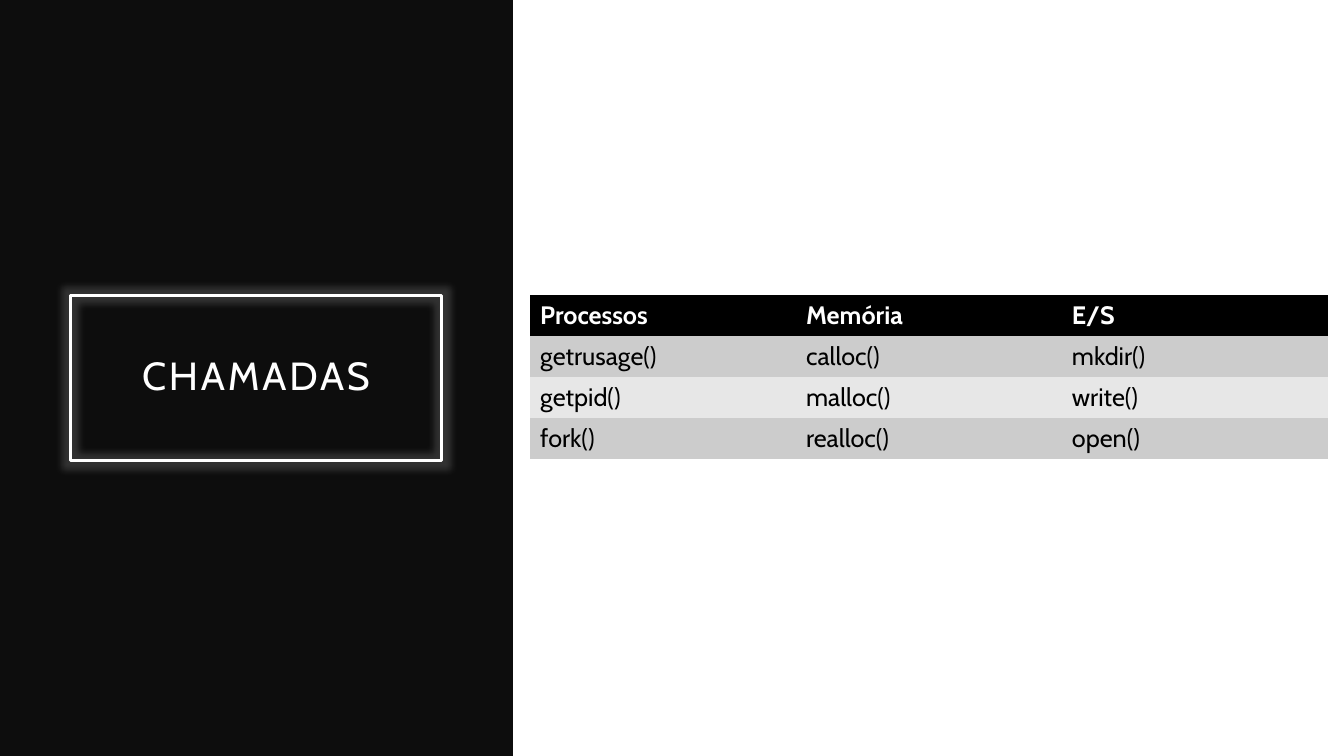
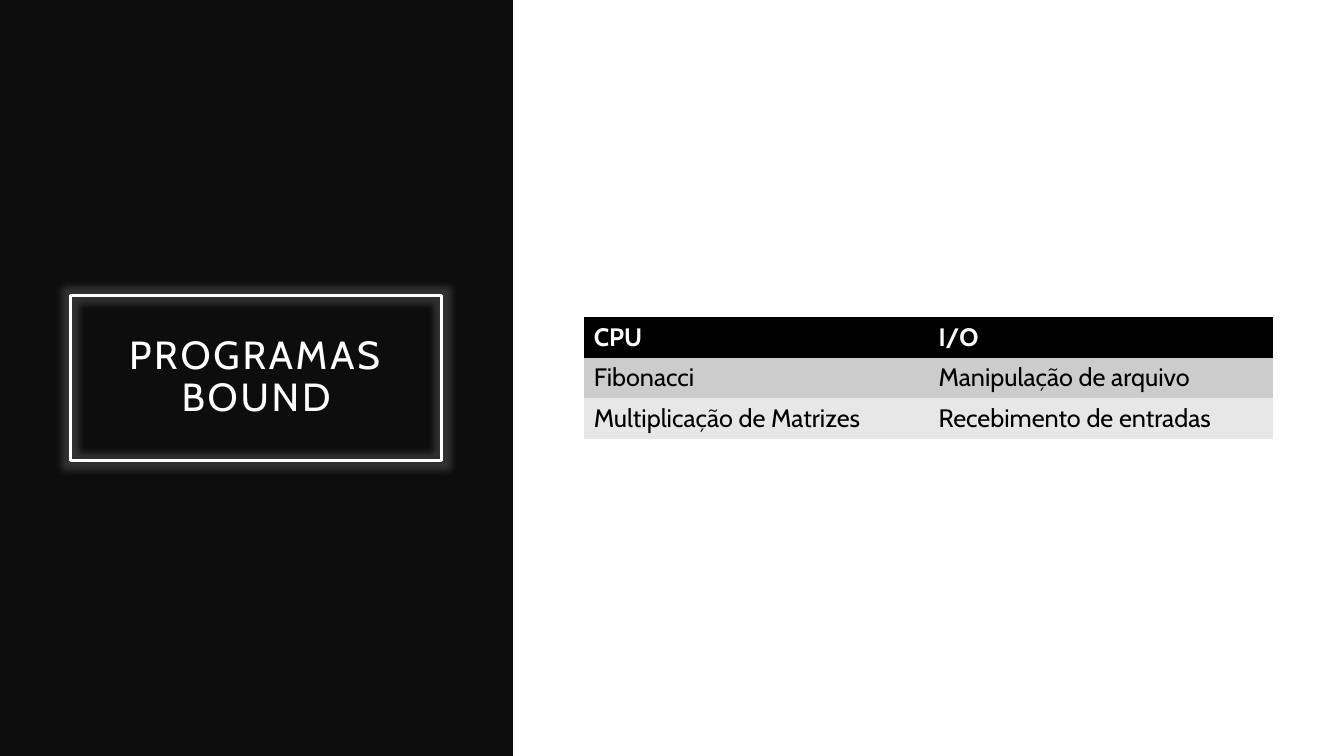
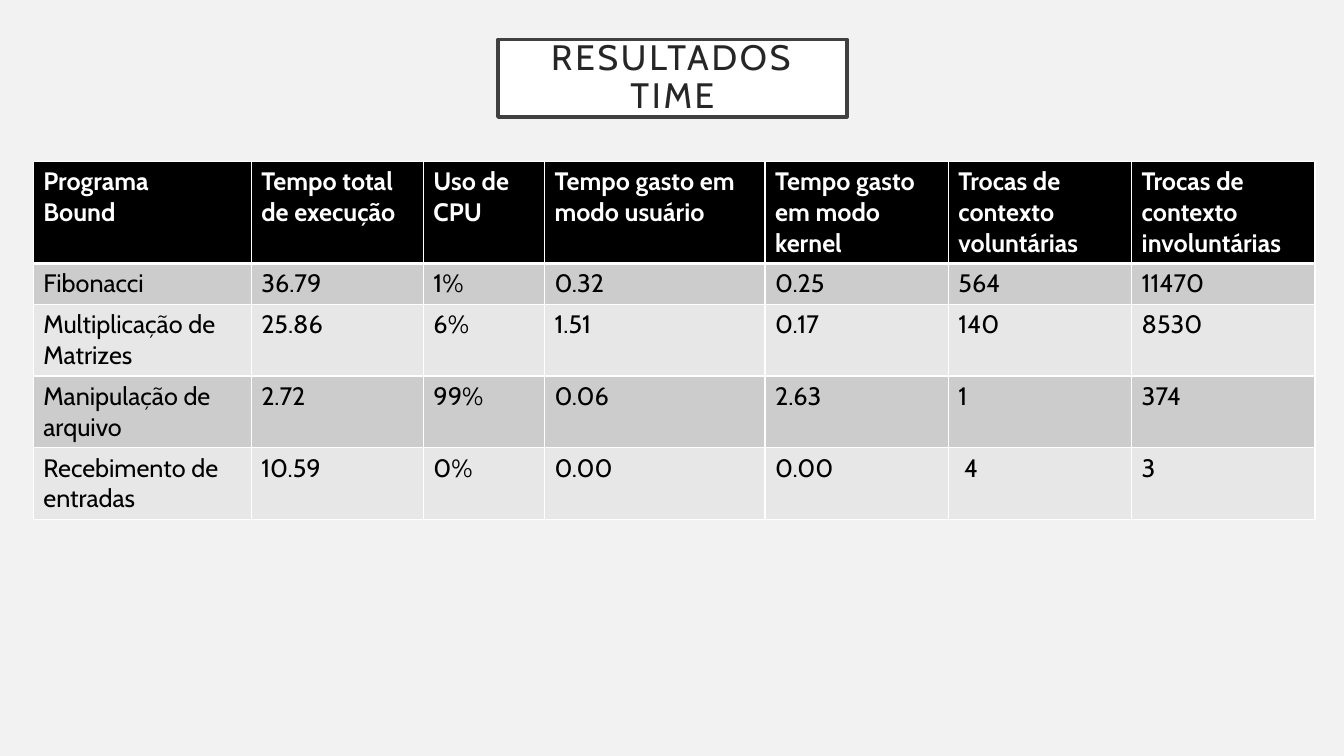
from lxml import etree
from pptx import Presentation
from pptx.dml.color import RGBColor
from pptx.enum.shapes import MSO_SHAPE as Shape
from pptx.enum.text import MSO_ANCHOR as Anchor, MSO_AUTO_SIZE as Fit, PP_ALIGN as Align
from pptx.oxml import parse_xml
from pptx.oxml.ns import nsdecls, qn
from pptx.util import Cm, Pt

PLAIN = "{2D5ABB26-0587-4C30-8999-92F81FD0307C}"
BLACK, WHITE = "000000", "FFFFFF"
BANDS = ["CCCCCC", "E7E7E7"]
SIDE = (1.78, 7.44, 9.35, 4.17)

SLIDES = [
    dict(title="CHAMADAS", dark=True, box=SIDE, size=28, at=(13.36, 7.44), cols=[6.7] * 3, rows=[
        ["Processos", "Memória", "E/S"],
        ["getrusage()", "calloc()", "mkdir()"],
        ["getpid()", "malloc()", "write()"],
        ["fork()", "realloc()", "open()"],
    ]),
    dict(title="PROGRAMAS BOUND", dark=True, box=SIDE, size=28, at=(14.71, 7.98), cols=[8.69] * 2, rows=[
        ["CPU", "I/O"],
        ["Fibonacci", "Manipulação de arquivo"],
        ["Multiplicação de Matrizes", "Recebimento de entradas"],
    ]),
    dict(title="RESULTADOS TIME", dark=False, box=(12.55, 0.99, 8.79, 1.96), size=25.2, at=(0.84, 4.06),
         cols=[5.49, 4.34, 3.05, 5.56] + [4.62] * 3, rows=[
        ["Programa\nBound", "Tempo total de execução", "Uso de CPU", "Tempo gasto em modo usuário",
         "Tempo gasto em modo kernel", "Trocas de contexto voluntárias", "Trocas de contexto involuntárias"],
        ["Fibonacci", "36.79", "1%", "0.32", "0.25", "564", "11470"],
        ["Multiplicação de Matrizes", "25.86", "6%", "1.51", "0.17", "140", "8530"],
        ["Manipulação de arquivo", "2.72", "99%", "0.06", "2.63", "1", "374"],
        ["Recebimento de entradas", "10.59", "0%", "0.00", "0.00", " 4", "3"],
    ]),
]


def paint(fill, color):
    fill.solid()
    fill.fore_color.rgb = RGBColor.from_string(color)


def write(frame, text, size=18, color=BLACK, bold=False, align=Align.LEFT, lead=1.0, gap=0):
    frame.text = text
    for para in frame.paragraphs:
        para.alignment = align
        para.line_spacing = lead
        for run in para.runs:
            font = run.font
            font.name, font.size, font.bold = "Cabin", Pt(size), bold
            paint(font.fill, color)
            if gap:
                run._r.get_or_add_rPr().set("spc", str(gap * 100))


prs = Presentation()
prs.slide_width, prs.slide_height = Cm(33.87), Cm(19.05)

for data in SLIDES:
    dark, rows, cols = data["dark"], data["rows"], data["cols"]
    slide = prs.slides.add_slide(prs.slide_layouts[5])
    paint(slide.background.fill, WHITE if dark else "F2F2F2")

    title = slide.shapes.title
    title.left, title.top, title.width, title.height = [Cm(n) for n in data["box"]]
    frame = title.text_frame
    frame.word_wrap, frame.auto_size = True, Fit.NONE
    frame.vertical_anchor = Anchor.MIDDLE
    frame.margin_left = frame.margin_right = frame.margin_top = frame.margin_bottom = Cm(0.51)
    write(frame, data["title"], size=data["size"], color=WHITE if dark else "262626",
          align=Align.CENTER, lead=0.9, gap=2)
    if dark:
        title.fill.background()
    else:
        paint(title.fill, WHITE)
    paint(title.line.fill, WHITE if dark else "404040")
    title.line.width = Pt(2.5)

    if dark:
        title.element.spPr.append(parse_xml(
            f'<a:effectLst {nsdecls("a")}><a:glow rad="{Cm(0.35)}"><a:srgbClr val="{WHITE}">'
            '<a:alpha val="15000"/></a:srgbClr></a:glow></a:effectLst>'))
        panel = slide.shapes.add_shape(Shape.RECTANGLE, 0, 0, Cm(12.93), prs.slide_height)
        panel.shadow.inherit = False
        paint(panel.fill, "0D0D0D")
        panel.line.fill.background()
        title.element.addprevious(panel.element)

    left, top = data["at"]
    grid = slide.shapes.add_table(len(rows), len(cols), Cm(left), Cm(top),
                                  Cm(sum(cols)), Cm(1.03 * len(rows))).table
    grid.first_row = grid.horz_banding = False
    grid._tbl.tblPr.find(qn("a:tableStyleId")).text = PLAIN
    for col, width in zip(grid.columns, cols):
        col.width = Cm(width)
    for i, row in enumerate(rows):
        for j, text in enumerate(row):
            cell = grid.cell(i, j)
            write(cell.text_frame, text, color=BLACK if i else WHITE, bold=i == 0)
            if not dark:
                props = cell._tc.get_or_add_tcPr()
                for edge in "LRTB":
                    thick = (i, edge) in [(0, "B"), (1, "T")]
                    line = etree.SubElement(props, qn("a:ln" + edge), w=str(Pt(3 if thick else 1)))
                    tint = etree.SubElement(line, qn("a:solidFill"))
                    etree.SubElement(tint, qn("a:srgbClr"), val=WHITE)
            paint(cell.fill, BANDS[(i - 1) % 2] if i else BLACK)

prs.save("out.pptx")
